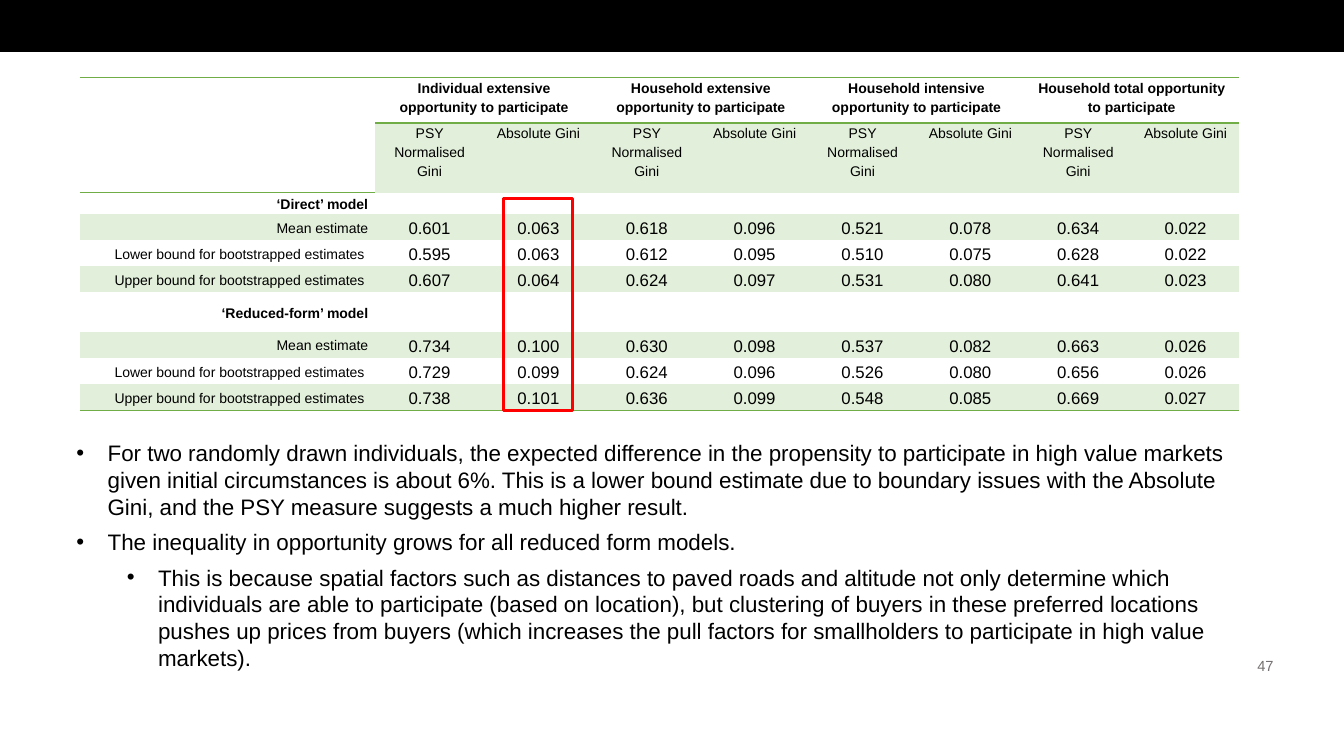
from dataclasses import dataclass

from lxml import etree
from pptx import Presentation
from pptx import util as u
from pptx.dml.color import RGBColor
from pptx.enum import shapes, text
from pptx.oxml import ns


@dataclass(frozen=True)
class Theme:
    font: str = "Arial"
    black: str = "000000"
    green: str = "70AD47"
    band: str = "E2EFDA"
    red: str = "FF0000"
    grey: str = "767171"
    label_size: float = 10
    value_size: float = 12
    body_size: float = 16
    number_size: float = 10.5


THEME = Theme()
GROUPS = [
    "Individual extensive opportunity to participate",
    "Household extensive opportunity to participate",
    "Household intensive opportunity to participate",
    "Household total opportunity to participate",
]
MEASURES = ["PSY Normalised Gini", "Absolute Gini"]
ESTIMATES = [
    "Mean estimate",
    "Lower bound for bootstrapped estimates ",
    "Upper bound for bootstrapped estimates ",
]
MODELS = {
    "‘Direct’ model": [
        "0.601 0.063 0.618 0.096 0.521 0.078 0.634 0.022",
        "0.595 0.063 0.612 0.095 0.510 0.075 0.628 0.022",
        "0.607 0.064 0.624 0.097 0.531 0.080 0.641 0.023",
    ],
    "‘Reduced-form’ model": [
        "0.734 0.100 0.630 0.098 0.537 0.082 0.663 0.026",
        "0.729 0.099 0.624 0.096 0.526 0.080 0.656 0.026",
        "0.738 0.101 0.636 0.099 0.548 0.085 0.669 0.027",
    ],
}
BULLETS = [
    (0, "For two randomly drawn individuals, the expected difference in the propensity to "
        "participate in high value markets given initial circumstances is about 6%. This is a "
        "lower bound estimate due to boundary issues with the Absolute Gini, and the PSY "
        "measure suggests a much higher result."),
    (0, "The inequality in opportunity grows for all reduced form models."),
    (1, "This is because spatial factors such as distances to paved roads and altitude not only "
        "determine which individuals are able to participate (based on location), but clustering "
        "of buyers in these preferred locations pushes up prices from buyers (which increases "
        "the pull factors for smallholders to participate in high value markets)."),
]
SLIDE_NUMBER = "47"
COLUMN_WIDTHS = [2.93] + [1.08] * 2 + [1.07] * 5 + [1.06]
ROW_HEIGHTS = [0.45, 0.69, 0.21] + [0.26] * 3 + [0.39] + [0.26] * 3
NO_STYLE = "{2D5ABB26-0587-4C30-8999-92F81FD0307C}"


def inches(*lengths):
    return [u.Inches(length) for length in lengths]


def style_font(paragraph, size, color=THEME.black, bold=False):
    for run in paragraph.runs:
        run.font.name = THEME.font
        run.font.size = u.Pt(size)
        run.font.bold = bold
        run.font.color.rgb = RGBColor.from_string(color)


def add_box(slide, place, fill=None, line=THEME.black, width=1):
    shape = slide.shapes.add_shape(shapes.MSO_SHAPE.RECTANGLE, *inches(*place))
    shape.shadow.inherit = False
    if fill:
        shape.fill.solid()
        shape.fill.fore_color.rgb = RGBColor.from_string(fill)
    else:
        shape.fill.background()
    shape.line.color.rgb = RGBColor.from_string(line)
    shape.line.width = u.Pt(width)


def add_text_box(slide, place):
    frame = slide.shapes.add_textbox(*inches(*place)).text_frame
    frame.word_wrap = True
    return frame


def fill_cell(cell, words, size=THEME.label_size, bold=False,
              align=text.PP_ALIGN.CENTER, anchor=text.MSO_ANCHOR.MIDDLE):
    cell.text_frame.text = words
    cell.vertical_anchor = anchor
    paragraph = cell.text_frame.paragraphs[0]
    paragraph.alignment = align
    paragraph.line_spacing = 1.2
    paragraph.space_after = u.Pt(6)
    style_font(paragraph, size, bold=bold)


def finish_cell(cell, edges, banded):
    cell.margin_left = cell.margin_right = u.Inches(0.07)
    cell.margin_top = cell.margin_bottom = 0
    properties = cell._tc.get_or_add_tcPr()
    for edge in edges:
        line = etree.SubElement(properties, ns.qn(f"a:ln{edge}"), w=str(u.Pt(1)))
        solid = etree.SubElement(line, ns.qn("a:solidFill"))
        etree.SubElement(solid, ns.qn("a:srgbClr"), val=THEME.green)
    if banded:
        cell.fill.solid()
        cell.fill.fore_color.rgb = RGBColor.from_string(THEME.band)
    else:
        cell.fill.background()
    if not cell.text_frame.text:
        paragraph = cell.text_frame.paragraphs[0]
        etree.SubElement(paragraph._p, ns.qn("a:endParaRPr"), sz=str(int(THEME.label_size * 100)))


def add_results(slide):
    rows, columns = len(ROW_HEIGHTS), len(COLUMN_WIDTHS)
    place = inches(0.79, 0.77, sum(COLUMN_WIDTHS), sum(ROW_HEIGHTS))
    frame = slide.shapes.add_table(rows, columns, *place)
    table = frame.table
    table.first_row = table.horz_banding = False
    table._tbl.tblPr.find(ns.qn("a:tableStyleId")).text = NO_STYLE
    for column, width in zip(table.columns, COLUMN_WIDTHS):
        column.width = u.Inches(width)
    for row, height in zip(table.rows, ROW_HEIGHTS):
        row.height = u.Inches(height)

    top, right = text.MSO_ANCHOR.TOP, text.PP_ALIGN.RIGHT
    table.cell(0, 0).merge(table.cell(1, 0))
    for index, group in enumerate(GROUPS):
        first = 1 + index * len(MEASURES)
        table.cell(0, first).merge(table.cell(0, first + len(MEASURES) - 1))
        fill_cell(table.cell(0, first), group, bold=True, anchor=top)
        for offset, measure in enumerate(MEASURES):
            fill_cell(table.cell(1, first + offset), measure, anchor=top)

    banded_rows = {1}
    row = 2
    for model, estimates in MODELS.items():
        fill_cell(table.cell(row, 0), model, bold=True, align=right)
        table.cell(row, 1).merge(table.cell(row, columns - 1))
        banded_rows |= {row + 1, row + 3}
        for offset, (label, values) in enumerate(zip(ESTIMATES, estimates), 1):
            fill_cell(table.cell(row + offset, 0), label, align=right)
            for column, value in enumerate(values.split(), 1):
                fill_cell(table.cell(row + offset, column), value, THEME.value_size)
        row += 1 + len(ESTIMATES)

    edges = {0: "TB", rows - 1: "B"}
    for row in range(rows):
        for column in range(columns):
            corner = row == 1 and column == 0
            finish_cell(table.cell(row, column), "B" if corner else edges.get(row, ""),
                        row in banded_rows and not corner)


def add_findings(slide):
    frame = add_text_box(slide, (0.66, 4.31, 11.63, 2.42))
    for index, (level, words) in enumerate(BULLETS):
        paragraph = frame.add_paragraph() if index else frame.paragraphs[0]
        paragraph.text = words
        paragraph.level = level
        paragraph.space_after = u.Pt(6)
        properties = paragraph._p.get_or_add_pPr()
        properties.set("marL", str(u.Inches(0.31 + 0.5 * level)))
        properties.set("indent", str(u.Inches(-0.31)))
        etree.SubElement(properties, ns.qn("a:buFont"), typeface=THEME.font)
        etree.SubElement(properties, ns.qn("a:buChar"), char="•")
        style_font(paragraph, THEME.body_size)


def add_slide_number(slide):
    frame = add_text_box(slide, (11.09, 6.47, 1.64, 0.27))
    frame.vertical_anchor = text.MSO_ANCHOR.MIDDLE
    frame.text = SLIDE_NUMBER
    frame.paragraphs[0].alignment = text.PP_ALIGN.RIGHT
    style_font(frame.paragraphs[0], THEME.number_size, THEME.grey)


def main():
    presentation = Presentation()
    presentation.slide_width, presentation.slide_height = inches(13.33, 7.5)
    slide = presentation.slides.add_slide(presentation.slide_layouts[6])
    add_box(slide, (0, 0, 13.33, 0.51), fill=THEME.black)
    add_slide_number(slide)
    add_results(slide)
    add_box(slide, (4.99, 1.97, 0.69, 2.1), line=THEME.red, width=2.25)
    add_findings(slide)
    presentation.save("out.pptx")


if __name__ == "__main__":
    main()
